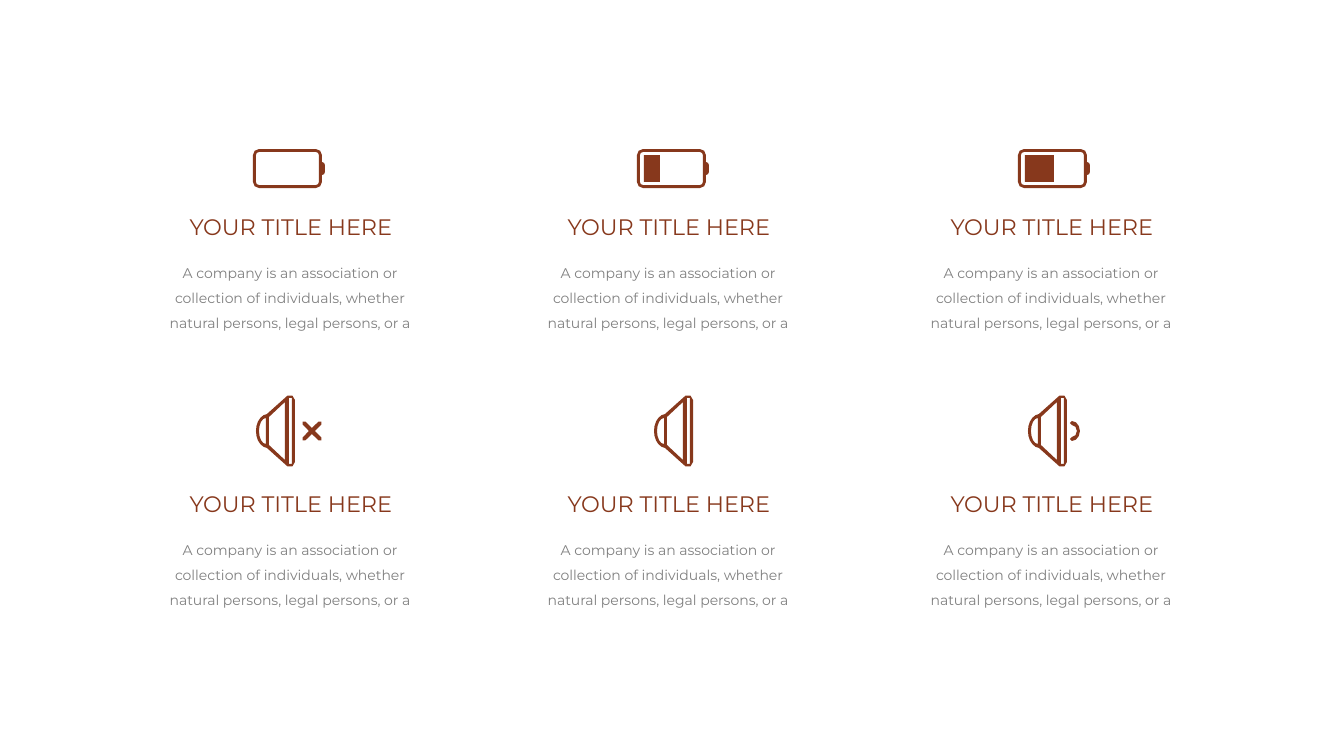
from dataclasses import dataclass
from math import cos, radians, sin

from pptx import Presentation
from pptx.dml.color import RGBColor
from pptx.enum.text import MSO_ANCHOR, PP_ALIGN
from pptx.util import Pt

EMU_PER_PX = 914400 / 100.8
HEADING = "YOUR TITLE HERE"
DESCRIPTION = ("A company is an association or collection of individuals, "
               "whether natural persons, legal persons, or a")


@dataclass(frozen=True)
class Theme:
    font: str = "Montserrat"
    accent: RGBColor = RGBColor(0x87, 0x38, 0x1C)
    muted: RGBColor = RGBColor(0x80, 0x80, 0x80)
    heading_size: int = 16
    description_size: int = 10


THEME = Theme()

# Layout in px: left edge of each column's text, top of each row's heading
COLUMN_LEFTS = (152, 530, 913)
ROW_TOPS = (211, 488)
BATTERY_TOP, BATTERY_LEFTS = 149, (253, 637, 1018)
SPEAKER_TOP, SPEAKER_LEFTS = 395, (256, 654, 1028)


def px(value):
    return round(value * EMU_PER_PX)


# Outline helpers: each returns a list of (x, y) points in px
def arc(cx, cy, rx, ry, start, end):
    length = max(rx, ry) * radians(abs(end - start))
    steps = max(2, round(length / 5))
    angles = [radians(start + (end - start) * i / steps) for i in range(steps + 1)]
    return [(cx + rx * cos(a), cy + ry * sin(a)) for a in angles]


def rectangle(left, top, right, bottom):
    return [(left, top), (right, top), (right, bottom), (left, bottom)]


def rounded_rectangle(left, top, right, bottom, r):
    return (arc(left + r, top + r, r, r, 180, 270)
            + arc(right - r, top + r, r, r, 270, 360)
            + arc(right - r, bottom - r, r, r, 0, 90)
            + arc(left + r, bottom - r, r, r, 90, 180))


def battery(charge):
    case = (arc(6, 6, 6, 6, 180, 270) + arc(63, 6, 6, 6, 270, 360)
            + arc(69, 16, 3, 3, 270, 360) + arc(69, 23, 3, 3, 0, 90)
            + arc(63, 33, 6, 6, 0, 90) + arc(6, 33, 6, 6, 90, 180))
    contours = [case, rounded_rectangle(3, 3, 66, 36, 3)]
    if charge:
        contours.append(rectangle(7, 6, 7 + charge, 33))
    return contours


def speaker(*signals):
    body = (arc(34, 5, 5, 5, 240, 360) + arc(34, 67, 5, 5, 0, 120)
            + arc(12, 36, 12, 17, 95, 265))
    rim = rectangle(33, 3, 36, 69)
    cone = [(29, 7), (29, 65), (13, 50), (13, 22)]
    magnet = arc(10, 36, 7, 13, 90, 270)
    return [body, rim, cone, magnet, *signals]


def mute_cross(cx=56, cy=36, reach=8, r=2):
    points = []
    for angle in (45, 135, 225, 315):
        turn = radians(angle + 45)
        end_x = cx + (reach if cos(radians(angle)) > 0 else -reach)
        end_y = cy + (reach if sin(radians(angle)) > 0 else -reach)
        points += arc(end_x, end_y, r, r, angle - 90, angle + 90)
        points.append((cx + 3 * cos(turn), cy + 3 * sin(turn)))
    return points


def sound_wave(cx=44, cy=36):
    return (arc(cx, cy, 8, 10, -90, 90) + arc(cx, cy + 8, 2, 2, 90, 270)
            + arc(cx, cy, 5, 6, 90, -90) + arc(cx, cy - 8, 2, 2, 90, 270))


def add_icon(slide, left, top, contours):
    placed = [[(px(left + x), px(top + y)) for x, y in contour] for contour in contours]
    builder = slide.shapes.build_freeform(*placed[0][0], scale=1.0)
    builder.add_line_segments(placed[0][1:], close=True)
    for contour in placed[1:]:
        builder.move_to(*contour[0])
        builder.add_line_segments(contour[1:], close=True)
    icon = builder.convert_to_shape()
    icon.shadow.inherit = False
    icon.fill.solid()
    icon.fill.fore_color.rgb = THEME.accent
    icon.line.fill.background()


def add_text(slide, box, text, size, color, line_spacing=1.0):
    frame = slide.shapes.add_textbox(*map(px, box)).text_frame
    frame.word_wrap = True
    frame.vertical_anchor = MSO_ANCHOR.TOP
    frame.margin_left = frame.margin_right = px(5)
    frame.margin_top = frame.margin_bottom = px(2)
    frame.text = text
    paragraph = frame.paragraphs[0]
    paragraph.alignment = PP_ALIGN.CENTER
    paragraph.line_spacing = line_spacing
    font = paragraph.runs[0].font
    font.name = THEME.font
    font.size = Pt(size)
    font.color.rgb = color


def add_caption(slide, left, top):
    add_text(slide, (left + 6, top + 43, 264, 78), DESCRIPTION,
             THEME.description_size, THEME.muted, 1.5)
    add_text(slide, (left, top, 278, 32), HEADING,
             THEME.heading_size, THEME.accent)


def main():
    presentation = Presentation()
    presentation.slide_width = px(1344)
    presentation.slide_height = px(756)
    slide = presentation.slides.add_slide(presentation.slide_layouts[6])

    # Headings and descriptions
    for top in ROW_TOPS:
        for left in COLUMN_LEFTS:
            add_caption(slide, left, top)

    # Batteries: empty, low, half full
    for left, charge in zip(BATTERY_LEFTS, (0, 16, 29)):
        add_icon(slide, left, BATTERY_TOP, battery(charge))

    # Speakers: muted, silent, quiet
    speakers = (speaker(mute_cross()), speaker(), speaker(sound_wave()))
    for left, contours in zip(SPEAKER_LEFTS, speakers):
        add_icon(slide, left, SPEAKER_TOP, contours)

    presentation.save("out.pptx")


if __name__ == "__main__":
    main()
